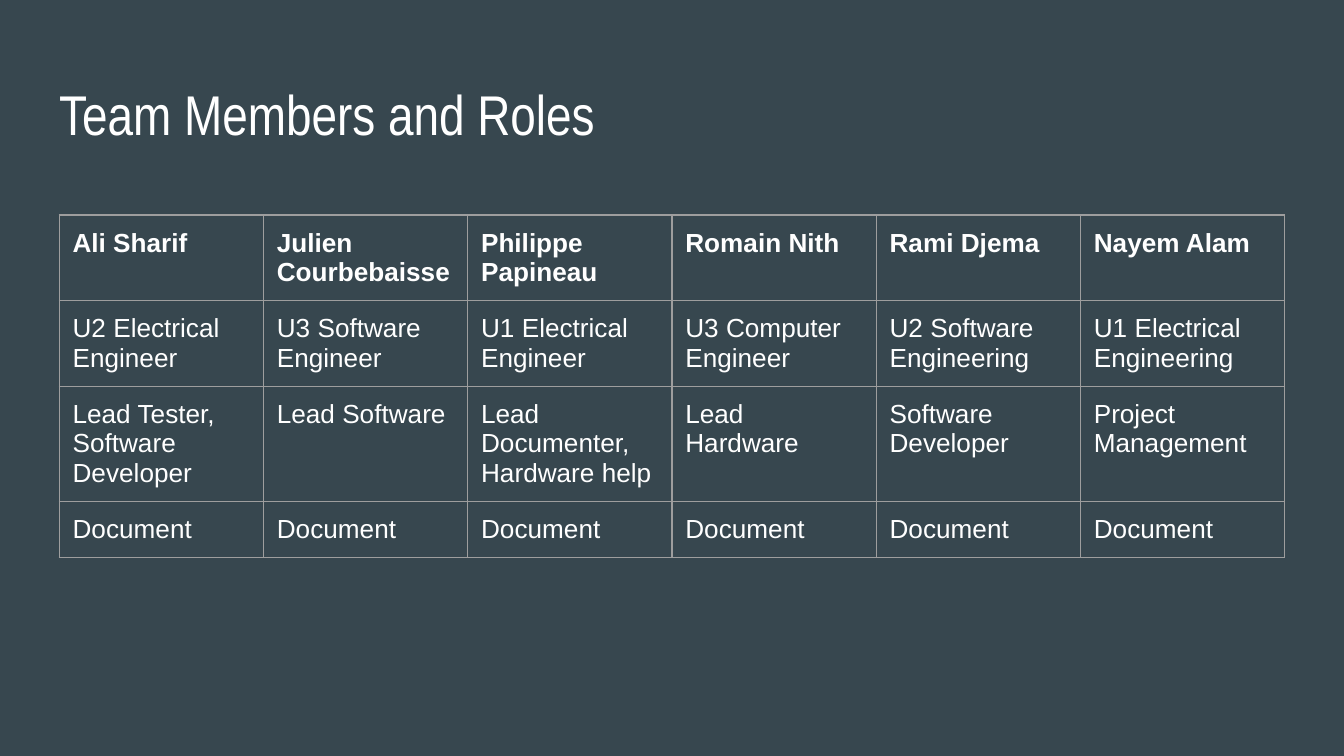
"""Build the team members and roles slide."""
from lxml import etree
from pptx import Presentation
from pptx.dml.color import RGBColor
from pptx.enum import text
from pptx.oxml import ns
from pptx.util import Inches, Pt

SLATE = RGBColor(0x37, 0x47, 0x4F)
WHITE = RGBColor(0xFF, 0xFF, 0xFF)
GREY = RGBColor(0x9E, 0x9E, 0x9E)
COLUMN_WIDTH = 1.52
ROW_HEIGHT = 0.42

ROWS = [
    ["Ali Sharif", "Julien Courbebaisse ", "Philippe Papineau",
     "Romain Nith", "Rami Djema", "Nayem Alam"],
    ["U2 Electrical Engineer", "U3 Software Engineer", "U1 Electrical Engineer ",
     "U3 Computer Engineer", "U2 Software Engineering", "U1 Electrical Engineering"],
    ["Lead Tester, Software Developer", "Lead Software", "Lead Documenter, Hardware help",
     "Lead Hardware", "Software Developer", "Project Management"],
    ["Document"] * 6,
]


def style_text(frame, font_name, size, bold=False):
    font = frame.paragraphs[0].runs[0].font
    font.name = font_name
    font.size = Pt(size)
    font.bold = bold
    font.color.rgb = WHITE


def add_borders(cell):
    properties = cell._tc.get_or_add_tcPr()
    for side in ("a:lnL", "a:lnR", "a:lnT", "a:lnB"):
        line = etree.SubElement(properties, ns.qn(side), w=str(Pt(0.75)))
        fill = etree.SubElement(line, ns.qn("a:solidFill"))
        etree.SubElement(fill, ns.qn("a:srgbClr"), val=str(GREY))


deck = Presentation()
deck.slide_width = Inches(10)
deck.slide_height = Inches(10 * 9 / 16)
page = deck.slides.add_slide(deck.slide_layouts[5])
page.background.fill.solid()
page.background.fill.fore_color.rgb = SLATE

title = page.shapes.title
title.left, title.top = Inches(0.34), Inches(0.49)
title.width, title.height = Inches(9.32), Inches(0.63)
frame = title.text_frame
frame.text = "Team Members and Roles"
frame.word_wrap = True
frame.auto_size = text.MSO_AUTO_SIZE.NONE
frame.vertical_anchor = text.MSO_ANCHOR.TOP
frame.margin_left = frame.margin_right = Inches(0.1)
frame.margin_top = frame.margin_bottom = Inches(0.1)
frame.paragraphs[0].alignment = text.PP_ALIGN.LEFT
style_text(frame, "Arial Narrow", 30)

team = page.shapes.add_table(
    len(ROWS), len(ROWS[0]), Inches(0.44), Inches(1.6),
    Inches(COLUMN_WIDTH * len(ROWS[0])), Inches(ROW_HEIGHT * len(ROWS))).table
team.horz_banding = False
for row_index, entries in enumerate(ROWS):
    for column_index, entry in enumerate(entries):
        cell = team.cell(row_index, column_index)
        cell.text_frame.text = entry
        cell.margin_left = cell.margin_right = Inches(0.1)
        cell.margin_top = cell.margin_bottom = Inches(0.1)
        style_text(cell.text_frame, "Arial", 14, bold=row_index == 0)
        add_borders(cell)
        cell.fill.background()

deck.save("out.pptx")
